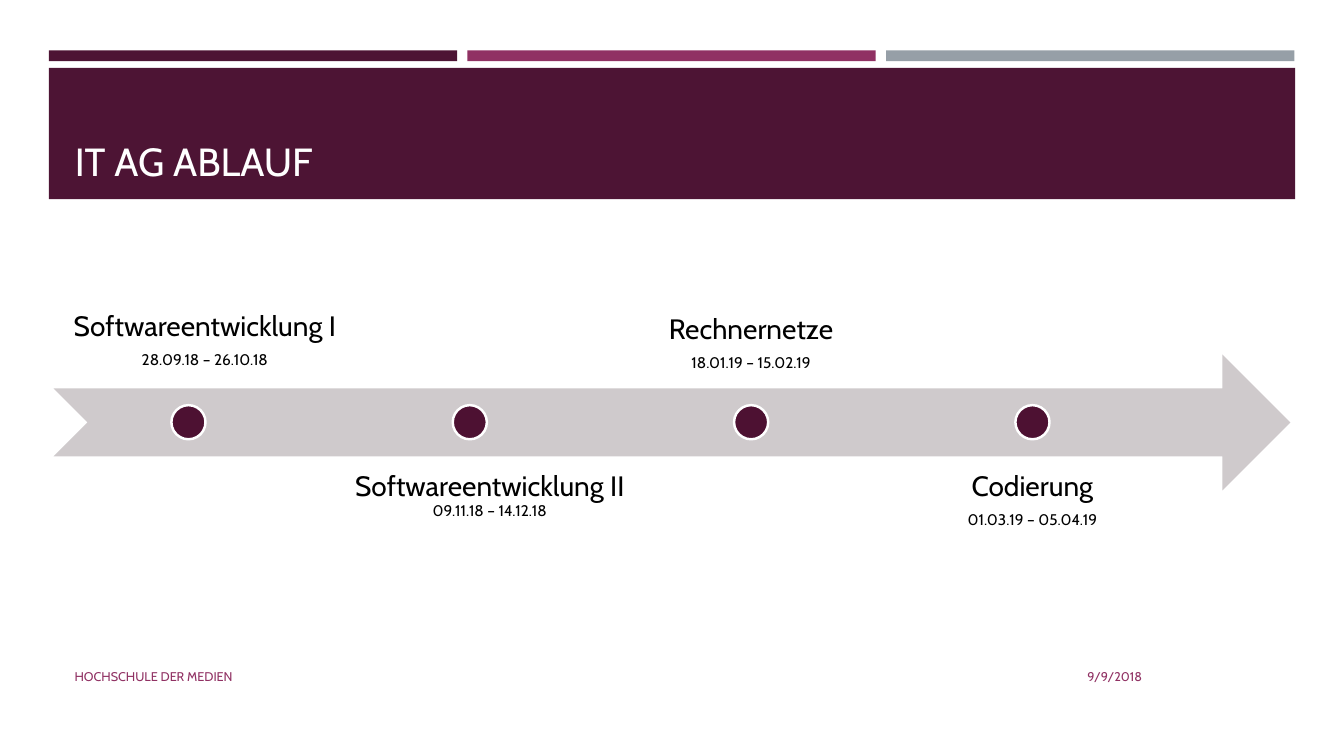
from dataclasses import dataclass

from pptx import Presentation
from pptx.dml.color import RGBColor
from pptx.enum.shapes import MSO_SHAPE
from pptx.enum.text import MSO_ANCHOR, MSO_AUTO_SIZE, PP_ALIGN
from pptx.util import Cm, Pt

RECTANGLE = MSO_SHAPE.RECTANGLE
NOTCHED_ARROW = MSO_SHAPE.NOTCHED_RIGHT_ARROW
OVAL = MSO_SHAPE.OVAL
TOP, MIDDLE, BOTTOM = MSO_ANCHOR.TOP, MSO_ANCHOR.MIDDLE, MSO_ANCHOR.BOTTOM
LEFT, CENTER, RIGHT = PP_ALIGN.LEFT, PP_ALIGN.CENTER, PP_ALIGN.RIGHT
NO_AUTO_SIZE = MSO_AUTO_SIZE.NONE
TITLE_ONLY = 5


@dataclass(frozen=True)
class Theme:
    """Font, colours and type sizes of the slide."""
    font: str = "Cabin"
    plum: str = "4D1434"
    berry: str = "903163"
    slate: str = "969FA7"
    arrow: str = "CFCACC"
    dot: str = "4D1132"
    white: str = "FFFFFF"
    black: str = "000000"
    title_size: int = 28
    topic_size: int = 20
    date_size: int = 11
    footer_size: int = 9


@dataclass(frozen=True)
class Milestone:
    """One stop on the timeline; lengths in cm, gap in points."""
    topic: str
    dates: str
    top: float
    width: float
    anchor: MSO_ANCHOR
    gap: int = 7


class SlideBuilder:
    """Holds the theme and the current slide."""

    def __init__(self, slide, theme):
        """Keep the slide to draw on and its theme."""
        self.slide = slide
        self.theme = theme

    def shape(self, kind, left, top, width, height, fill, outline=None):
        """Add a filled preset shape, with an outline if one is given."""
        shape = self.slide.shapes.add_shape(kind, Cm(left), Cm(top), Cm(width), Cm(height))
        shape.shadow.inherit = False
        shape.fill.solid()
        shape.fill.fore_color.rgb = RGBColor.from_string(fill)
        if outline:
            shape.line.color.rgb = RGBColor.from_string(outline)
            shape.line.width = Pt(1.75)
        else:
            shape.line.fill.background()

    def format_paragraph(self, paragraph, size, color, alignment):
        """Align a paragraph and style its runs."""
        paragraph.alignment = alignment
        for run in paragraph.runs:
            run.font.name = self.theme.font
            run.font.size = Pt(size)
            run.font.color.rgb = RGBColor.from_string(color)

    def title(self, text, left, top, width, height):
        """Fill and place the title placeholder, in front of its band."""
        title = self.slide.shapes.title
        title.left, title.top, title.width, title.height = map(Cm, (left, top, width, height))
        frame = title.text_frame
        frame.text = text
        frame.auto_size = NO_AUTO_SIZE
        frame.vertical_anchor = BOTTOM
        self.format_paragraph(frame.paragraphs[0], self.theme.title_size, self.theme.white, LEFT)
        self.slide.shapes._spTree.append(title._element)

    def text_box(self, text, left, top, width, height, anchor):
        """Add a wrapping text box and return its text frame."""
        box = self.slide.shapes.add_textbox(Cm(left), Cm(top), Cm(width), Cm(height))
        frame = box.text_frame
        frame.word_wrap = True
        frame.vertical_anchor = anchor
        frame.text = text
        return frame

    def footer(self, text, left, width, alignment):
        """Add one entry of the footer line."""
        frame = self.text_box(text, left, 16.54, width, 1.02, MIDDLE)
        self.format_paragraph(frame.paragraphs[0], self.theme.footer_size,
                              self.theme.berry, alignment)

    def milestone(self, milestone, offset):
        """Add a label with its dot, moved along the timeline by the offset."""
        theme = self.theme
        frame = self.text_box(f"{milestone.topic}\n{milestone.dates}", 1.37 + offset,
                              milestone.top, milestone.width, 3.43, milestone.anchor)
        frame.margin_left = frame.margin_right = Cm(0.4)
        frame.margin_top = frame.margin_bottom = Cm(0.4)
        topic, dates = frame.paragraphs
        self.format_paragraph(topic, theme.topic_size, theme.black, CENTER)
        self.format_paragraph(dates, theme.date_size, theme.black, CENTER)
        topic.line_spacing = dates.line_spacing = 0.9
        dates.space_before = Pt(milestone.gap)
        self.shape(OVAL, 4.32 + offset, 10.21, 0.86, 0.86, theme.dot, theme.white)


MILESTONES = (
    Milestone("Softwareentwicklung I", "28.09.18 – 26.10.18", 6.27, 7.59, BOTTOM),
    Milestone("Softwareentwicklung II", "09.11.18 – 14.12.18", 11.51, 7.77, TOP, gap=0),
    Milestone("Rechnernetze", "18.01.19 – 15.02.19", 6.35, 6.76, BOTTOM),
    Milestone("Codierung", "01.03.19 – 05.04.19", 11.51, 6.76, TOP),
)
MILESTONE_STEP = 7.09
BAR_STEP = 10.55


def main():
    """Build the timeline slide and save it."""
    presentation = Presentation()
    presentation.slide_width, presentation.slide_height = Cm(33.87), Cm(19.05)
    slide = presentation.slides.add_slide(presentation.slide_layouts[TITLE_ONLY])
    theme = Theme()
    builder = SlideBuilder(slide, theme)

    for index, color in enumerate((theme.plum, theme.berry, theme.slate)):
        builder.shape(RECTANGLE, 1.23 + index * BAR_STEP, 1.27, 10.29, 0.27, color)
    builder.shape(RECTANGLE, 1.23, 1.71, 31.41, 3.31, theme.plum)
    builder.title("IT AG ABLAUF", 1.63, 1.95, 30.63, 2.82)

    builder.shape(NOTCHED_ARROW, 1.35, 8.93, 31.17, 3.43, theme.arrow)
    for index, milestone in enumerate(MILESTONES):
        builder.milestone(milestone, index * MILESTONE_STEP)

    builder.footer("HOCHSCHULE DER MEDIEN", 1.63, 19.2, LEFT)
    builder.footer("9/9/2018", 21.13, 7.9, RIGHT)
    presentation.save("out.pptx")


main()
